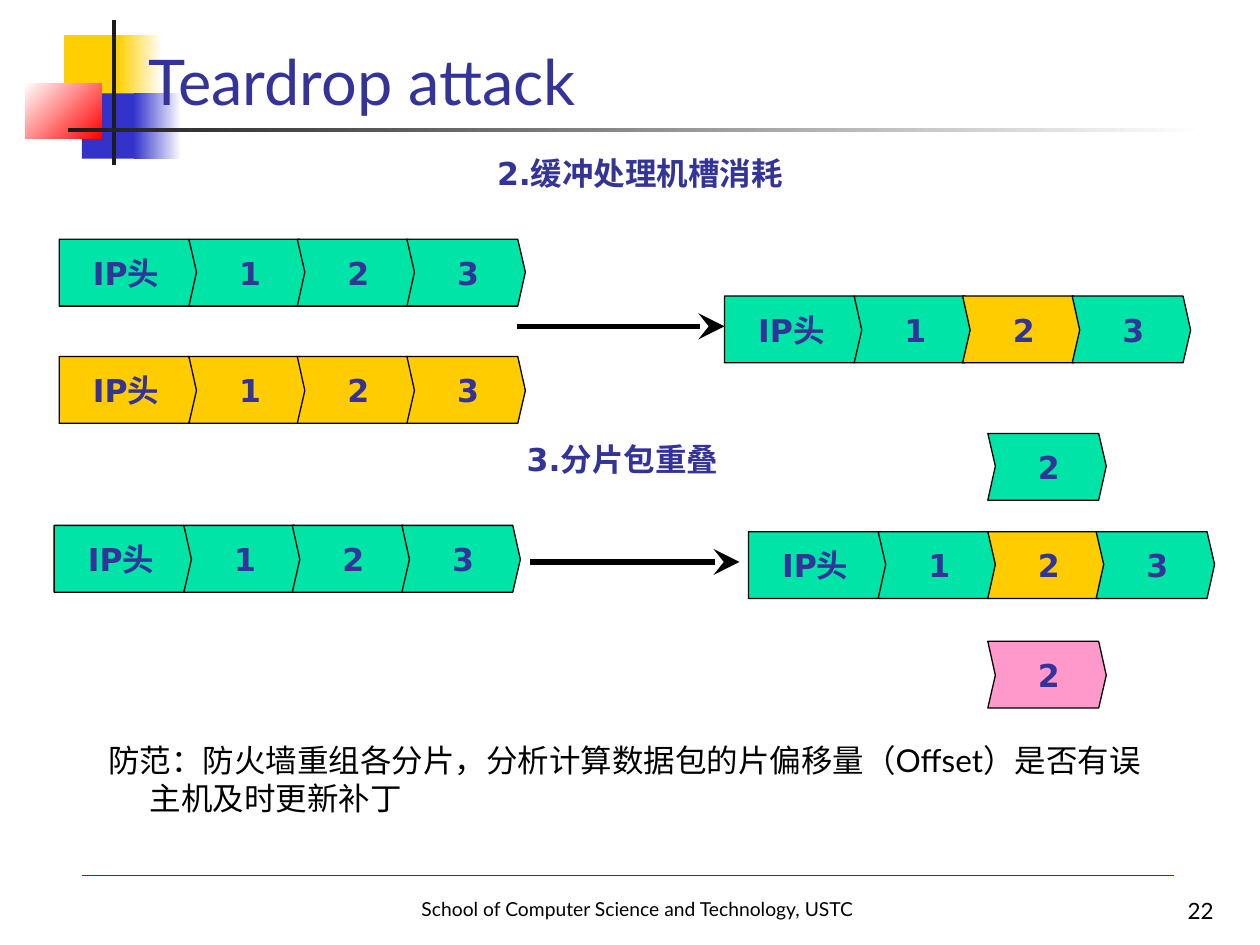
import pptx
import pptx.dml.color
import pptx.enum.shapes
import pptx.enum.text
import pptx.oxml
import pptx.oxml.ns
import pptx.util

PX = 9144  # EMU per px, 100 px to the inch
ALIGN = pptx.enum.text.PP_ALIGN
ANCHOR = pptx.enum.text.MSO_ANCHOR
RECTANGLE = pptx.enum.shapes.MSO_SHAPE.RECTANGLE
STRAIGHT = pptx.enum.shapes.MSO_CONNECTOR.STRAIGHT

THEME = {
    "colors": {
        "green": "00E4A8", "amber": "FFCC00", "pink": "FF99CC",
        "navy": "333399", "black": "000000", "white": "FFFFFF",
        "yellow": "FFCF01", "blue": "3333CC", "red": "FF0000",
        "ink": "1C1C1C", "crimson": "C00000",
    },
    "east_asian": "Noto Sans CJK SC",
    # style: latin font, size in pt, bold, colour
    "type": {
        "title": ("Lato", 36, False, "navy"),
        "label": ("DejaVu Sans", 18, True, "navy"),
        "body": ("Lato", 18, False, "black"),
        "footer": ("Lato", 11, False, "black"),
        "number": ("Lato", 12.8, False, "black"),
    },
}

# Content
TITLE = ("Teardrop attack", (108, 23, 844, 76))
DECORATION = [  # left, top, width, height, colours, clockwise angle
    (51, 28, 46, 50, ["yellow"], 0),
    (93, 28, 36, 50, ["yellow", "white"], 0),
    (65, 74, 46, 52, ["blue"], 0),
    (106, 74, 38, 52, ["blue", "white"], 0),
    (20, 66, 61, 44, ["white", "red"], 45),
    (89, 16, 3, 115, ["ink"], 0),
    (54, 102, 902, 3, ["ink", "white"], 0),
]
TEXTS = [  # lines, box, style, alignment, anchor
    (["2.缓冲处理机槽消耗"], (378, 117, 260, 40), "label", ALIGN.CENTER, ANCHOR.TOP),
    (["3.分片包重叠"], (364, 344, 260, 40), "label", ALIGN.CENTER, ANCHOR.TOP),
    (["防范：防火墙重组各分片，分析计算数据包的片偏移量（Offset）是否有误",
      "主机及时更新补丁"], (76, 583, 872, 100), "body", ALIGN.LEFT, ANCHOR.TOP),
    (["School of Computer Science and Technology, USTC"],
     (322, 707, 368, 47), "footer", ALIGN.CENTER, ANCHOR.TOP),
    (["22"], (862, 703, 111, 35), "number", ALIGN.RIGHT, ANCHOR.BOTTOM),
]
LABELS = ["IP头", "1", "2", "3"]
PACKETS = [  # left, top, colour of each piece
    (47, 190, ["green"] * 4),
    (47, 283, ["amber"] * 4),
    (575, 235, ["green", "green", "amber", "green"]),
    (43, 417, ["green"] * 4),
    (594, 422, ["green", "green", "amber", "green"]),
]
FRAGMENTS = [(784, 344, "2", "green"), (784, 509, "2", "pink")]
LINES = [  # start, end, colour, width in pt, arrow
    ((65, 695), (932, 695), "crimson", 0.25, False),
    ((410, 259), (575, 259), "black", 3, True),
    ((421, 446), (587, 446), "black", 3, True),
]

# Piece geometry
PIECE_HEIGHT = 53
HEADER = {"width": 110, "point": 7, "notch": 0}
FRAGMENT = {"width": 94, "point": 6, "notch": 6}
FIRST_FRAGMENT, FRAGMENT_STEP = 103, 86.5
SECOND_LINE_INDENT = 33


def px(value):
    return pptx.util.Emu(round(value * PX))


def color(name):
    return pptx.dml.color.RGBColor.from_string(THEME["colors"][name])


def apply(target, values):
    for name, value in values.items():
        setattr(target, name, value)


def write(shape, lines, style, alignment, anchor, margins=(10, 5, 10, 5)):
    frame = shape.text_frame
    sides = ("margin_left", "margin_top", "margin_right", "margin_bottom")
    apply(frame, {"word_wrap": True, "vertical_anchor": anchor,
                  "auto_size": pptx.enum.text.MSO_AUTO_SIZE.NONE,
                  **dict(zip(sides, map(px, margins)))})
    latin, size, bold, ink = THEME["type"][style]
    for index, line in enumerate(lines):
        paragraph = frame.add_paragraph() if index else frame.paragraphs[0]
        paragraph.alignment = alignment
        if index:
            paragraph._p.get_or_add_pPr().set("marL", str(px(SECOND_LINE_INDENT)))
        run = paragraph.add_run()
        run.text = line
        apply(run.font, {"name": latin, "size": pptx.util.Pt(size), "bold": bold})
        run.font.color.rgb = color(ink)
        east_asian = pptx.oxml.parse_xml(
            f'<a:ea {pptx.oxml.ns.nsdecls("a")} typeface="{THEME["east_asian"]}"/>')
        run.font._element.find(pptx.oxml.ns.qn("a:latin")).addnext(east_asian)


def add_block(slide, left, top, width, height, colors, angle):
    shape = slide.shapes.add_shape(RECTANGLE, *map(px, (left, top, width, height)))
    shape.shadow.inherit = False
    shape.line.fill.background()
    if len(colors) == 1:
        shape.fill.solid()
        shape.fill.fore_color.rgb = color(colors[0])
        return
    shape.fill.gradient()
    shape.fill.gradient_angle = (360 - angle) % 360
    for stop, name in zip(shape.fill.gradient_stops, colors):
        stop.color.rgb = color(name)


def add_piece(slide, left, top, label, fill, form):
    right, bottom = left + form["width"], top + PIECE_HEIGHT
    middle, shoulder = top + PIECE_HEIGHT / 2, right - form["point"]
    builder = slide.shapes.build_freeform(left, top, scale=PX)
    builder.add_line_segments([(shoulder, top), (right, middle), (shoulder, bottom),
                               (left, bottom), (left + form["notch"], middle)])
    shape = builder.convert_to_shape()
    shape.shadow.inherit = False
    shape.fill.solid()
    shape.fill.fore_color.rgb = color(fill)
    shape.line.color.rgb = color("black")
    shape.line.width = pptx.util.Pt(0.75)
    write(shape, [label], "label", ALIGN.CENTER, ANCHOR.MIDDLE,
          (form["notch"] + 6, 0, form["point"] + 3, 0))


def add_line(slide, start, end, ink, width, arrow):
    connector = slide.shapes.add_connector(STRAIGHT, *map(px, start + end))
    connector.line.color.rgb = color(ink)
    connector.line.width = pptx.util.Pt(width)
    namespace = pptx.oxml.ns.nsdecls("a")
    if arrow:
        connector.line._get_or_add_ln().append(pptx.oxml.parse_xml(
            f'<a:tailEnd {namespace} type="stealth" w="lg" len="lg"/>'))
    connector._element.spPr.append(pptx.oxml.parse_xml(f"<a:effectLst {namespace}/>"))


def main():
    presentation = pptx.Presentation()
    apply(presentation, {"slide_width": px(1000), "slide_height": px(750)})
    slide = presentation.slides.add_slide(presentation.slide_layouts[5])

    # Corner blocks, then the title in front of them
    for block in DECORATION:
        add_block(slide, *block)
    title = slide.shapes.title
    text, box = TITLE
    apply(title, dict(zip(("left", "top", "width", "height"), map(px, box))))
    write(title, [text], "title", ALIGN.LEFT, ANCHOR.BOTTOM)
    slide.shapes._spTree.append(title._element)

    # Packets and loose fragments
    for left, top, fills in PACKETS:
        for index, (label, fill) in enumerate(zip(LABELS, fills)):
            offset = FIRST_FRAGMENT + FRAGMENT_STEP * (index - 1) if index else 0
            add_piece(slide, left + offset, top, label, fill,
                      FRAGMENT if index else HEADER)
    for fragment in FRAGMENTS:
        add_piece(slide, *fragment, FRAGMENT)

    # Arrows and footer rule
    for line in LINES:
        add_line(slide, *line)

    # Headings, advice and footer
    for lines, box, style, alignment, anchor in TEXTS:
        write(slide.shapes.add_textbox(*map(px, box)), lines, style, alignment, anchor)

    presentation.save("out.pptx")


if __name__ == "__main__":
    main()
